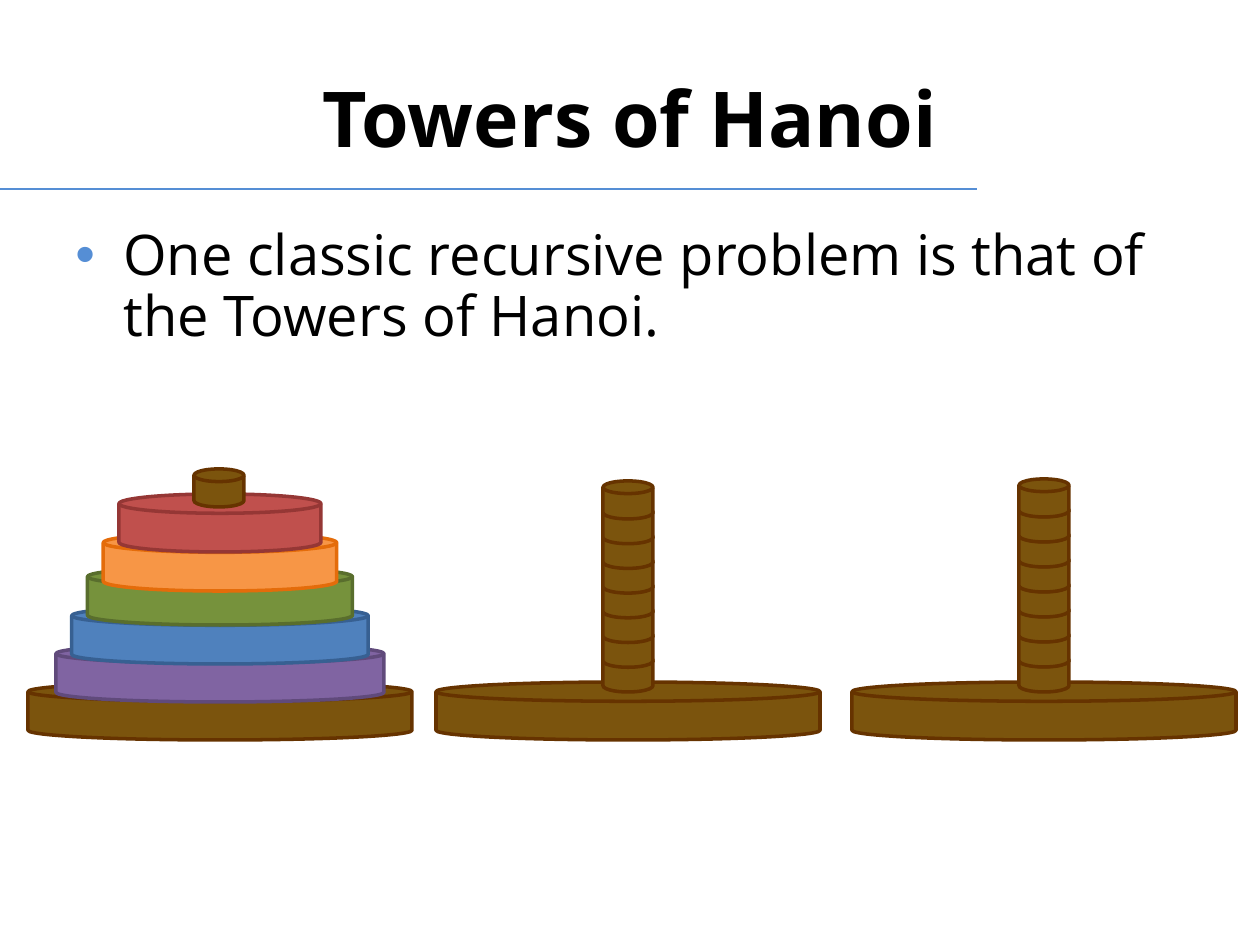
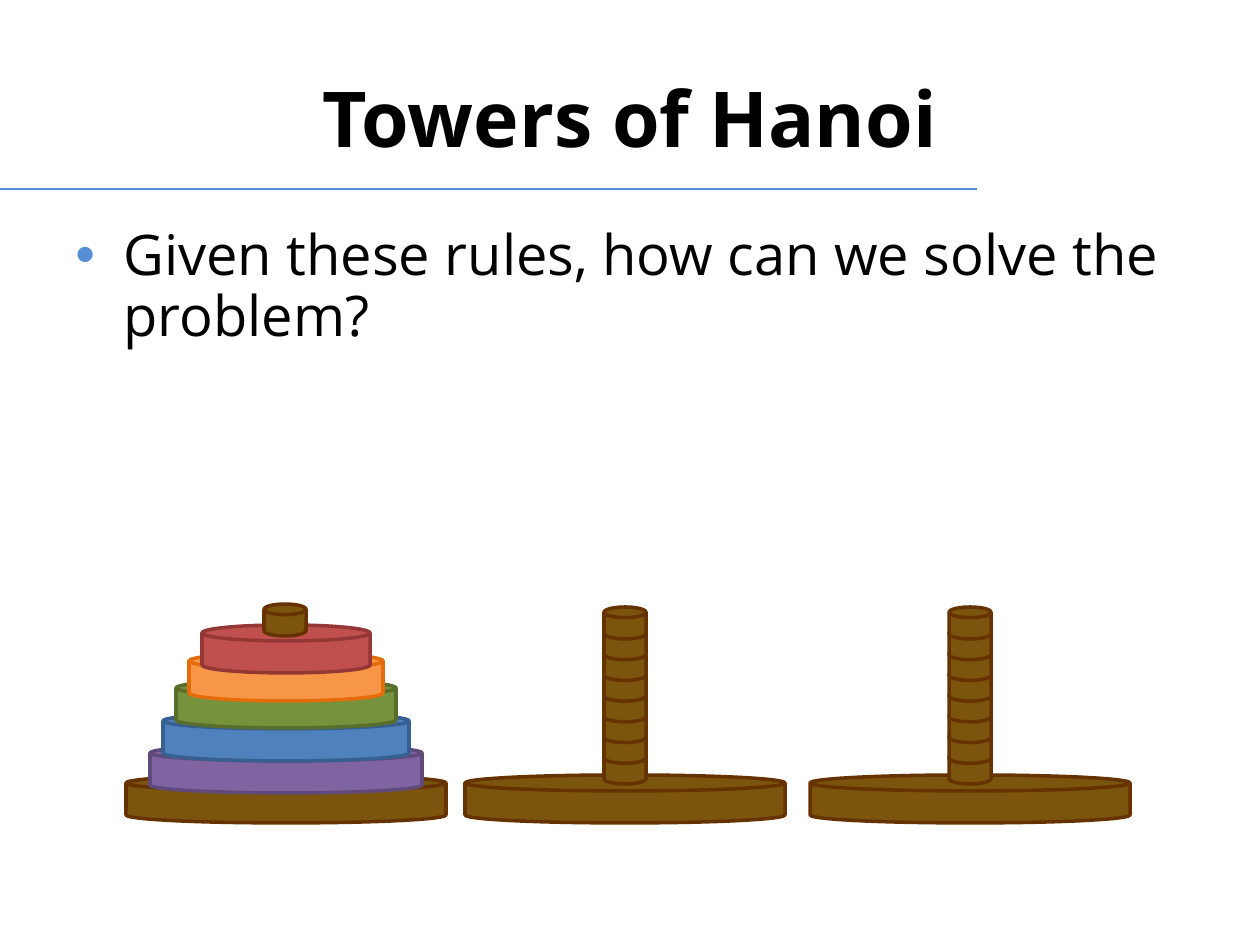
from dataclasses import dataclass

import pptx
import pptx.dml.color
import pptx.enum.shapes
import pptx.enum.text
import pptx.oxml.ns
import pptx.util
from lxml import etree

RGBColor = pptx.dml.color.RGBColor
PIXEL = 914400 / 126
FONT = "Open Sans"
TITLE = "Towers of Hanoi"

BLACK = RGBColor(0x00, 0x00, 0x00)
ACCENT = RGBColor(0x55, 0x8E, 0xD5)
WOOD = RGBColor(0x7B, 0x54, 0x0D)
WOOD_EDGE = RGBColor(0x66, 0x33, 0x00)

# Fill and edge of the disks, widest first
DISK_COLOURS = (
    (RGBColor(0x80, 0x64, 0xA2), RGBColor(0x60, 0x4A, 0x7B)),
    (RGBColor(0x4F, 0x81, 0xBD), RGBColor(0x37, 0x60, 0x92)),
    (RGBColor(0x76, 0x92, 0x3C), RGBColor(0x59, 0x6E, 0x2D)),
    (RGBColor(0xF7, 0x96, 0x46), RGBColor(0xE4, 0x6C, 0x0A)),
    (RGBColor(0xC0, 0x50, 0x4D), RGBColor(0x95, 0x37, 0x35)),
)
PEG_SEGMENTS = 8


@dataclass(frozen=True)
class Peg:
    """An empty peg: its centre and the tops of its end segments."""
    centre: int
    lowest: int
    highest: int


@dataclass(frozen=True)
class Scene:
    """Three towers, the first one loaded; lengths in pixels."""
    loaded_centre: int
    cap_centre: int
    cap_top: int
    pegs: tuple[Peg, ...]
    base_top: int
    base_width: int
    disk_height: int
    disk_tops: tuple[int, ...]
    disk_width: int
    disk_step: float
    peg_width: int
    peg_height: int
    grouped: bool


@dataclass(frozen=True)
class Content:
    bullet: str
    scene: Scene


CONTENTS = (
    Content(
        "One classic recursive problem is that of the Towers of Hanoi.",
        Scene(220, 219, 469, (Peg(628, 654, 481), Peg(1044, 654, 479)),
              682, 384, 58, (644, 606, 567, 533, 494), 328, 31.5,
              50, 38, grouped=False),
    ),
    Content(
        "Given these rules, how can we solve the problem?",
        Scene(286, 285, 604, (Peg(625, 752, 607), Peg(970, 752, 607)),
              775, 320, 48, (745, 713, 680, 653, 625), 272, 26,
              42, 32, grouped=True),
    ),
)


def px(length: float) -> pptx.util.Emu:
    return pptx.util.Emu(round(length * PIXEL))


def add_text(page, text: str, left: int, top: int, width: int, height: int, *,
             size: int, bold: bool = False, centred: bool = False,
             middle: bool = False, bullet: bool = False) -> None:
    box = page.shapes.add_textbox(px(left), px(top), px(width), px(height))
    frame = box.text_frame
    frame.word_wrap = True
    if middle:
        frame.vertical_anchor = pptx.enum.text.MSO_ANCHOR.MIDDLE
    para = frame.paragraphs[0]
    if centred:
        para.alignment = pptx.enum.text.PP_ALIGN.CENTER
    if bullet:
        add_bullet(para)
    span = para.add_run()
    span.text = text
    span.font.name = FONT
    span.font.size = pptx.util.Pt(size)
    span.font.bold = bold
    span.font.color.rgb = BLACK


def add_bullet(para) -> None:
    """Hang the paragraph on an accent-coloured bullet."""
    para.line_spacing = 0.9
    para.space_before = pptx.util.Pt(6.4)
    qn = pptx.oxml.ns.qn
    properties = para._p.get_or_add_pPr()
    properties.set("marL", str(px(48)))
    properties.set("indent", str(-px(48)))
    colour = etree.SubElement(properties, qn("a:buClr"))
    etree.SubElement(colour, qn("a:srgbClr"), val=str(ACCENT))
    etree.SubElement(properties, qn("a:buFont"), typeface="Arial")
    etree.SubElement(properties, qn("a:buChar"), char="•")


def add_rule(page) -> None:
    """The line under the title."""
    rule = page.shapes.add_connector(
        pptx.enum.shapes.MSO_CONNECTOR.STRAIGHT, 0, px(189), px(977), px(189))
    rule.line.color.rgb = ACCENT
    rule.line.width = pptx.util.Pt(0.75)
    etree.SubElement(rule._element.spPr, pptx.oxml.ns.qn("a:effectLst"))


def add_disk(shapes, centre: float, top: float, width: float, height: float,
             fill: RGBColor = WOOD, edge: RGBColor = WOOD_EDGE) -> None:
    disk = shapes.add_shape(
        pptx.enum.shapes.MSO_SHAPE.FLOWCHART_MAGNETIC_DISK,
        px(centre - width / 2), px(top), px(width), px(height))
    disk.shadow.inherit = False
    disk.fill.solid()
    disk.fill.fore_color.rgb = fill
    disk.line.color.rgb = edge
    disk.line.width = pptx.util.Pt(2)


def add_scene(page, scene: Scene) -> None:
    shapes = page.shapes.add_group_shape().shapes if scene.grouped else page.shapes

    # Loaded tower: base, disks, tip of the peg
    add_disk(shapes, scene.loaded_centre, scene.base_top,
             scene.base_width, scene.disk_height)
    for level, (top, (fill, edge)) in enumerate(zip(scene.disk_tops, DISK_COLOURS)):
        add_disk(shapes, scene.loaded_centre, top,
                 scene.disk_width - level * scene.disk_step,
                 scene.disk_height, fill, edge)
    add_disk(shapes, scene.cap_centre, scene.cap_top,
             scene.peg_width, scene.peg_height)

    # Empty towers: base, then segments from the bottom up
    for peg in scene.pegs:
        add_disk(shapes, peg.centre, scene.base_top,
                 scene.base_width, scene.disk_height)
        rise = (peg.lowest - peg.highest) / (PEG_SEGMENTS - 1)
        for segment in range(PEG_SEGMENTS):
            add_disk(shapes, peg.centre, peg.lowest - segment * rise,
                     scene.peg_width, scene.peg_height)


def add_page(deck, content: Content) -> None:
    page = deck.slides.add_slide(deck.slide_layouts[6])
    add_rule(page)
    add_text(page, TITLE, 63, 38, 1134, 158,
             size=44, bold=True, centred=True, middle=True)
    add_text(page, content.bullet, 63, 221, 1134, 624, size=32, bullet=True)
    add_scene(page, content.scene)


deck = pptx.Presentation()
deck.slide_width = px(1260)
deck.slide_height = px(945)
for content in CONTENTS:
    add_page(deck, content)
deck.save("out.pptx")
